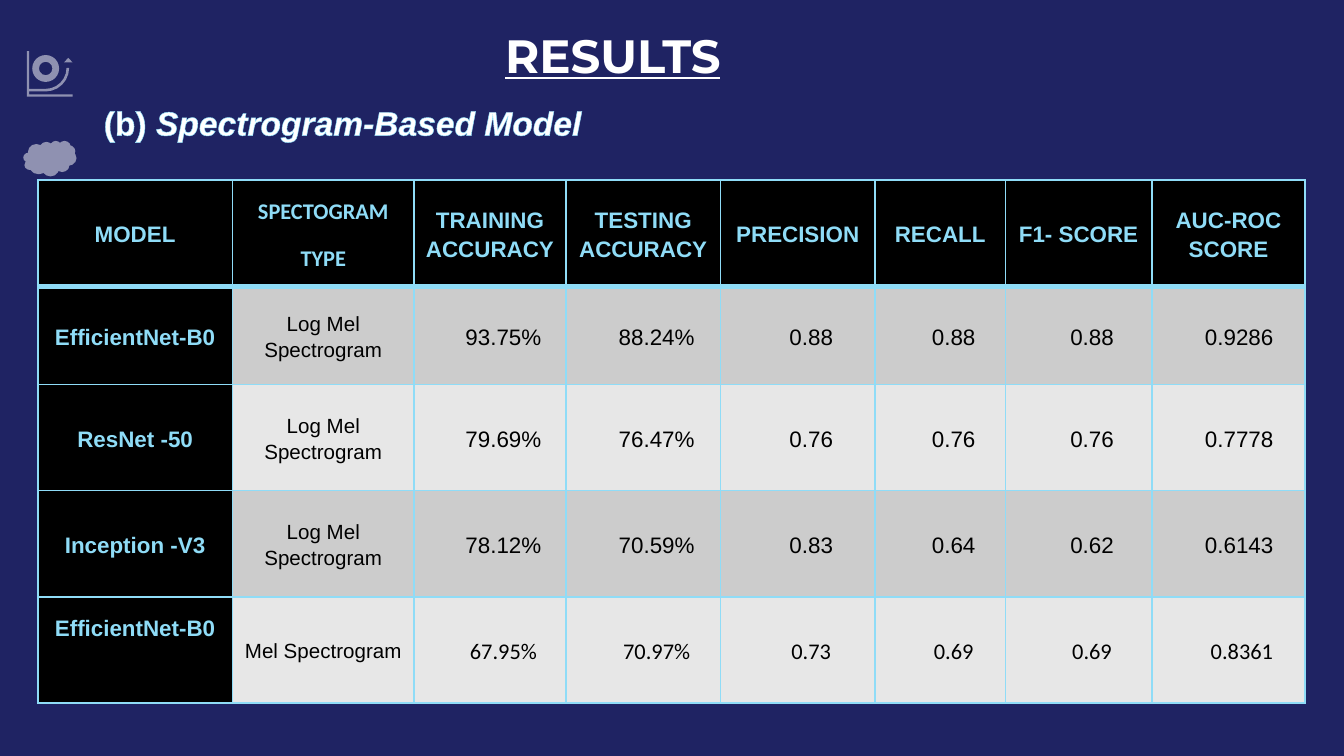
import math
import pptx
import pptx.dml.color
import pptx.enum.shapes
import pptx.enum.text
import pptx.oxml.ns
import pptx.util
import lxml.etree

Pt = pptx.util.Pt
RGBColor = pptx.dml.color.RGBColor
MSO_SHAPE = pptx.enum.shapes.MSO_SHAPE
CENTER = pptx.enum.text.PP_ALIGN.CENTER
MIDDLE = pptx.enum.text.MSO_ANCHOR.MIDDLE
qn = pptx.oxml.ns.qn

NAVY = RGBColor(0x1F, 0x23, 0x63)
SKY = RGBColor(0x8F, 0xDC, 0xF7)
WHITE = RGBColor(0xFF, 0xFF, 0xFF)
BLACK = RGBColor(0, 0, 0)
DARK_BAND = RGBColor(0xCC, 0xCC, 0xCC)
LIGHT_BAND = RGBColor(0xE7, 0xE7, 0xE7)


def add_line(parent, index, tag, width):
    """Insert a solid sky-blue line element into text or cell properties."""
    line = lxml.etree.Element(qn(tag), w=str(Pt(width)))
    fill = lxml.etree.SubElement(line, qn("a:solidFill"))
    lxml.etree.SubElement(fill, qn("a:srgbClr"), val=str(SKY))
    parent.insert(index, line)


def add_text(paragraph, text, formats):
    """Add a centred run, setting its font from a dict."""
    paragraph.alignment = CENTER
    run = paragraph.add_run()
    run.text = text
    run.font.fill.solid()
    run.font.fill.fore_color.rgb = formats["color"]
    for name, value in formats.items():
        if name != "color":
            setattr(run.font, name, value)
    return run


presentation = pptx.Presentation()
presentation.slide_width, presentation.slide_height = Pt(720), Pt(405)
slide = presentation.slides.add_slide(presentation.slide_layouts[6])
slide.background.fill.solid()
slide.background.fill.fore_color.rgb = NAVY

# Side icons: coin, arrowhead and brain from preset shapes
icons = []
for kind, left, top, width, height in (
    (MSO_SHAPE.DONUT, 17.3, 29.5, 14.4, 14.4),
    (MSO_SHAPE.ISOSCELES_TRIANGLE, 34.3, 31, 4.6, 2.4),
    (MSO_SHAPE.CLOUD, 12.5, 75.5, 28.5, 19),
):
    icons.append(slide.shapes.add_shape(kind, Pt(left), Pt(top), Pt(width), Pt(height)))

# Chart axes and the rising curve, a quarter ring with a flat tail
axes = [(14.4, 27.4), (15.6, 27.4), (15.6, 50.6), (38.9, 50.6), (38.9, 51.8), (14.4, 51.8)]
angles = [math.radians(15 * step) for step in range(7)]
outer = [(24.5 + 12.6 * math.cos(a), 36.4 + 12.6 * math.sin(a)) for a in angles]
inner = [(24.5 + 11.2 * math.cos(a), 36.4 + 11.2 * math.sin(a)) for a in angles]
tail = [(15.6, outer[-1][1]), (15.6, inner[-1][1])]
for outline in (axes, outer + tail + inner[::-1]):
    points = [(Pt(x), Pt(y)) for x, y in outline]
    builder = slide.shapes.build_freeform(*points[0], scale=1.0)
    builder.add_line_segments(points[1:], close=True)
    icons.append(builder.convert_to_shape())

for shape in icons:
    shape.shadow.inherit = False
    shape.line.fill.background()
    shape.fill.solid()
    shape.fill.fore_color.rgb = WHITE
    color = shape._element.spPr.find(qn("a:solidFill")).find(qn("a:srgbClr"))
    lxml.etree.SubElement(color, qn("a:alpha"), val="50000")

# Title and subtitle
title = slide.shapes.add_textbox(Pt(92.2), Pt(10.8), Pt(472.3), Pt(37.4))
title.text_frame.word_wrap = True
add_text(title.text_frame.paragraphs[0], "RESULTS",
         {"name": "Montserrat", "size": Pt(25), "color": WHITE, "bold": True, "underline": True})

subtitle = slide.shapes.add_textbox(Pt(-65.5), Pt(51.1), Pt(498.2), Pt(51.1))
subtitle.text_frame.word_wrap = True
for text, italic in (("(b) ", False), ("Spectrogram-Based Model", True)):
    run = add_text(subtitle.text_frame.paragraphs[0], text,
                   {"name": "Arial", "size": Pt(18), "color": WHITE, "bold": True, "italic": italic})
    add_line(run.font._element, 0, "a:ln", 0.75)

# Results table
ROWS = [
    ["MODEL", "SPECTOGRAM\nTYPE", "TRAINING ACCURACY", "TESTING ACCURACY",
     "PRECISION", "RECALL", "F1- SCORE", "AUC-ROC SCORE"],
    ["EfficientNet-B0", "Log Mel Spectrogram", "93.75%", "88.24%", "0.88", "0.88", "0.88", "0.9286"],
    ["ResNet -50", "Log Mel Spectrogram", "79.69%", "76.47%", "0.76", "0.76", "0.76", "0.7778"],
    ["Inception -V3", "Log Mel Spectrogram", "78.12%", "70.59%", "0.83", "0.64", "0.62", "0.6143"],
    ["EfficientNet-B0", "Mel Spectrogram", "67.95%", "70.97%", "0.73", "0.69", "0.69", "0.8361"],
]
COLUMN_WIDTHS = [104.4, 97.2, 81.4, 82.8, 82.8, 69.8, 78.5, 82.1]
ROW_HEIGHTS = [56.9, 52.6, 56.9, 56.9, 56.9]
LAST_ROW, LAST_COLUMN = len(ROWS) - 1, len(COLUMN_WIDTHS) - 1

table = slide.shapes.add_table(len(ROWS), len(COLUMN_WIDTHS), Pt(20.2), Pt(96.5),
                               Pt(sum(COLUMN_WIDTHS)), Pt(sum(ROW_HEIGHTS))).table
table.first_row = table.horz_banding = False
for column, width in zip(table.columns, COLUMN_WIDTHS):
    column.width = Pt(width)
for row, height in zip(table.rows, ROW_HEIGHTS):
    row.height = Pt(height)

for r, values in enumerate(ROWS):
    for c, value in enumerate(values):
        cell = table.cell(r, c)
        heading = r == 0 or c == 0
        cell.vertical_anchor = MIDDLE
        cell.margin_left = cell.margin_right = Pt(3.6)
        cell.margin_top = cell.margin_bottom = 0
        if r == LAST_ROW and c == 0:
            cell.margin_bottom = Pt(24.6)  # raises the last model name
        cell.fill.solid()
        cell.fill.fore_color.rgb = BLACK if heading else DARK_BAND if r % 2 else LIGHT_BAND

        calibri = (r == 0 and c == 1) or (r == LAST_ROW and c > 1)
        formats = {
            "name": "Calibri" if calibri else "Arial",
            "size": Pt(11 if c == 1 and r > 0 else 12),
            "color": SKY if heading else BLACK,
            "bold": heading,
        }
        for i, text in enumerate(value.split("\n")):
            paragraph = cell.text_frame.add_paragraph() if i else cell.text_frame.paragraphs[0]
            add_text(paragraph, text, formats)
            paragraph.line_spacing = 1.15
            if heading or c in (1, LAST_COLUMN):
                paragraph.space_after = Pt(8)
            if r > 0 and c > 1:
                indent = 11.5 if c == LAST_COLUMN and r < LAST_ROW else 14.4
                paragraph._p.get_or_add_pPr().set("marL", str(Pt(indent)))

        # Borders, thick under the header row
        borders = {"a:lnL": 1, "a:lnR": 1, "a:lnT": 3 if r == 1 else 1, "a:lnB": 3 if r == 0 else 1}
        for index, (tag, width) in enumerate(borders.items()):
            add_line(cell._tc.get_or_add_tcPr(), index, tag, width)

presentation.save("out.pptx")
